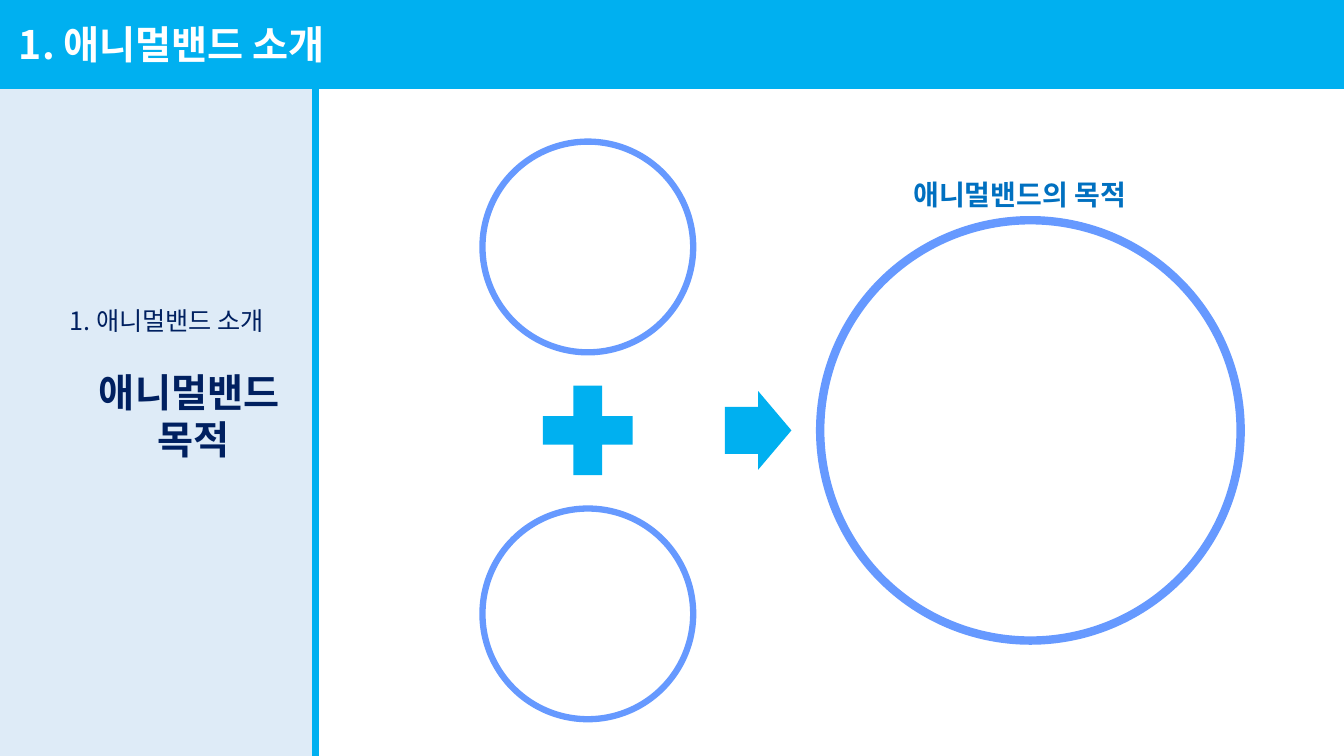
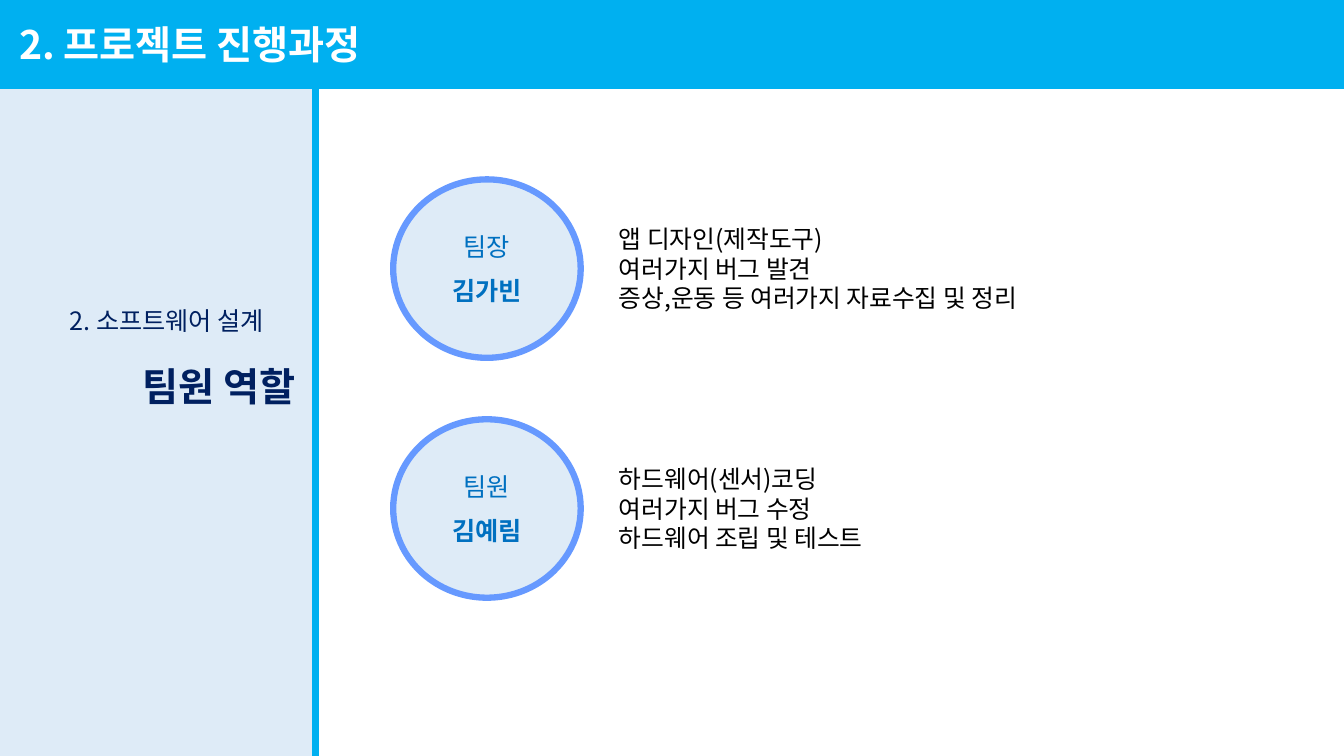
"""Build two slides on the purpose and the team of the animal band."""
import pptx
import pptx.util
import pptx.dml.color
import pptx.enum.shapes
import pptx.enum.text
import pptx.oxml.ns
import lxml.etree

PX = 9144
FONT = "Noto Sans CJK KR"
HUE = {"sky": "00B0F0", "pale": "DEEBF7", "ring": "6699FF", "navy": "002060",
       "blue": "0070C0", "white": "FFFFFF", "black": "000000"}
KIND = pptx.enum.shapes.MSO_SHAPE
ALIGN = pptx.enum.text.PP_ALIGN
Pt = pptx.util.Pt

PAGES = [
    {"title": ("1. 애니멀밴드 소개", 356), "part": "1. 애니멀밴드 소개",
     "topic": ((79, 360, 217, 104), ["애니멀밴드", " 목적"], ALIGN.CENTER)},
    {"title": ("2. 프로젝트 진행과정", 395), "part": "2. 소프트웨어 설계",
     "topic": ((112, 355, 191, 57), ["팀원 역할"], ALIGN.RIGHT)},
]
GOAL = "애니멀밴드의 목적"
TEAM = [
    ("팀장", "김가빈",
     ["앱 디자인(제작도구)", "여러가지 버그 발견", "증상,운동 등 여러가지 자료수집 및 정리"]),
    ("팀원", "김예림",
     ["하드웨어(센서)코딩", "여러가지 버그 수정", "하드웨어 조립 및 테스트"]),
]


def color(name):
    return pptx.dml.color.RGBColor.from_string(HUE[name])


def emu(box):
    return [int(v * PX) for v in box]


def square(x, y, size):
    return x - size / 2, y - size / 2, size, size


def draw(slide, kind, box, fill, line=None, width=0):
    shape = slide.shapes.add_shape(kind, *emu(box))
    shape.shadow.inherit = False
    shape.fill.solid()
    shape.fill.fore_color.rgb = color(fill)
    if line:
        shape.line.color.rgb = color(line)
        shape.line.width = Pt(width)
    else:
        shape.line.fill.background()
    return shape


def write(frame, lines, size, hue, align=ALIGN.LEFT, gap=0):
    for i, (text, bold) in enumerate(lines):
        para = frame.paragraphs[0] if i == 0 else frame.add_paragraph()
        para.alignment = align
        if i and gap:
            para.space_before = Pt(gap)
        run = para.add_run()
        run.text = text
        font = run.font
        font.name, font.size, font.bold = FONT, Pt(size), bold
        font.color.rgb = color(hue)
        east = lxml.etree.SubElement(run._r.get_or_add_rPr(), pptx.oxml.ns.qn("a:ea"))
        east.set("typeface", FONT)


def label(slide, box, texts, size, hue, bold=False, align=ALIGN.LEFT, wrap=False):
    frame = slide.shapes.add_textbox(*emu(box)).text_frame
    frame.word_wrap = wrap
    write(frame, [(text, bold) for text in texts], size, hue, align)


def base(deck, page):
    slide = deck.slides.add_slide(deck.slide_layouts[6])
    draw(slide, KIND.RECTANGLE, (-8, 85, 321, 679), "pale", "sky", 4.5)
    draw(slide, KIND.RECTANGLE, (0, 0, 1333, 88), "sky", "sky", 1)
    title, width = page["title"]
    label(slide, (9, 15, width, 57), [title], 28, "white", True)
    label(slide, (59, 298, 234, 40), [page["part"]], 18, "navy")
    box, texts, align = page["topic"]
    label(slide, box, texts, 28, "navy", True, align)
    return slide


def purpose(slide):
    left, mid, step = 583, 427, 182
    for y in (mid - step, mid + step):
        draw(slide, KIND.OVAL, square(left, y, 209), "white", "ring", 4.5)
    draw(slide, KIND.MATH_PLUS, square(left, mid, 121), "sky")
    arrow = draw(slide, KIND.RIGHT_ARROW, (719, mid - 39, 66, 78), "sky")
    arrow.adjustments[0] = 0.6
    arrow.adjustments[1] = 0.5
    draw(slide, KIND.OVAL, square(1022, mid, 417), "white", "ring", 6)
    label(slide, (896, 171, 254, 44), [GOAL], 20, "blue", True)


def team(slide):
    top, step = 178, 238
    for i, (role, name, tasks) in enumerate(TEAM):
        y = top + i * step
        disc = draw(slide, KIND.OVAL, (390, y, 186, 177), "pale", "ring", 4.5)
        frame = disc.text_frame
        frame.vertical_anchor = pptx.enum.text.MSO_ANCHOR.MIDDLE
        write(frame, [(role, False), (name, True)], 18, "blue", ALIGN.CENTER, 9.6)
        label(slide, (604, y + 39, 526, 100), tasks, 17.7, "black", wrap=True)


def main():
    deck = pptx.Presentation()
    deck.slide_width, deck.slide_height = emu((1333, 750))
    for page, fill in zip(PAGES, (purpose, team)):
        fill(base(deck, page))
    deck.save("out.pptx")


if __name__ == "__main__":
    main()
